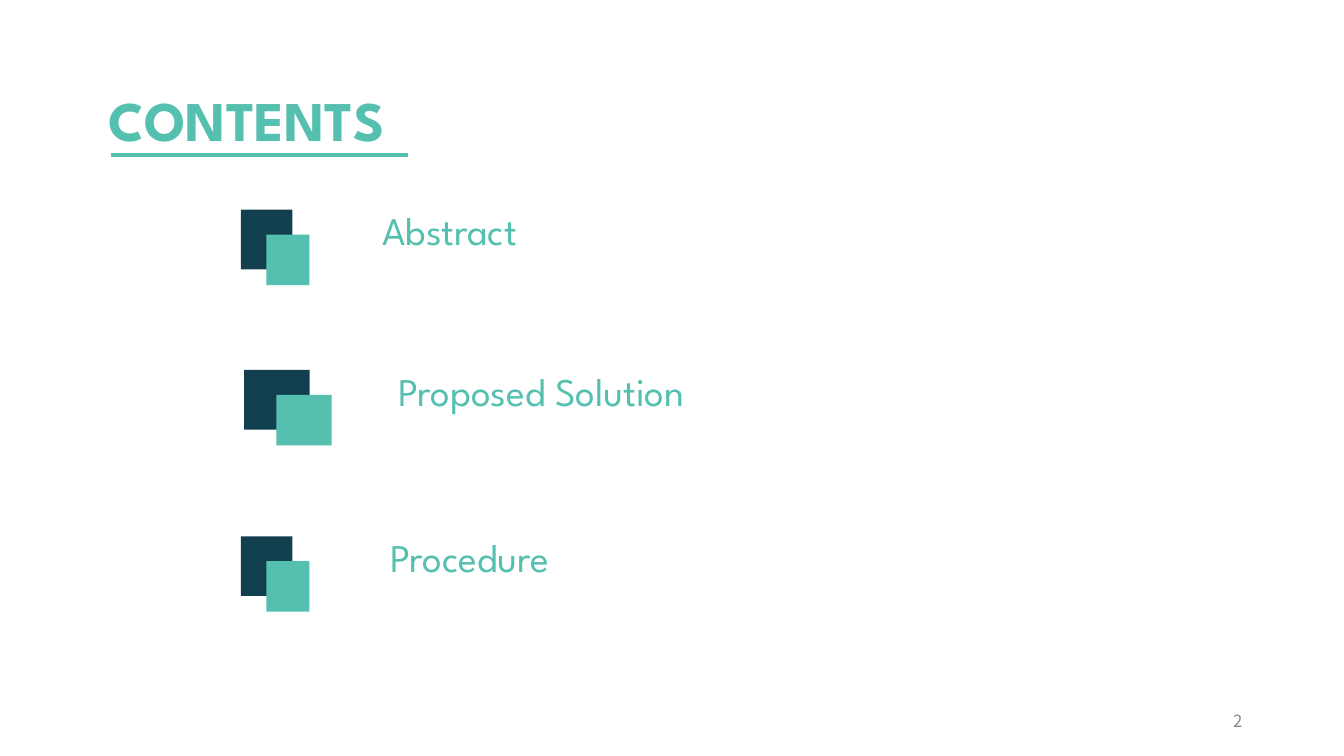
from dataclasses import dataclass

from lxml.etree import SubElement
from pptx import Presentation
from pptx.dml.color import RGBColor
from pptx.enum.shapes import MSO_CONNECTOR, MSO_SHAPE
from pptx.enum.text import MSO_ANCHOR, PP_ALIGN
from pptx.oxml.ns import qn
from pptx.util import Inches, Pt


@dataclass(frozen=True)
class Theme:
    teal: RGBColor = RGBColor(0x55, 0xC0, 0xAF)
    navy: RGBColor = RGBColor(0x11, 0x3F, 0x4E)
    gray: RGBColor = RGBColor(0x88, 0x88, 0x88)
    font: str = "League Spartan"
    number_font: str = "Noto Sans CJK SC"
    title_size: int = 40
    item_size: int = 28
    number_size: int = 12
    rule_width: int = 3


THEME = Theme()
ICON_HEIGHT = 0.75
LABEL_HEIGHT = 0.68
LABEL_RISE = 0.08  # how far a label starts above its icon

# label, icon left, icon width, label left, label width, icon top
ITEMS = [
    ("Abstract", 2.39, 0.68, 2.98, 2.96, 2.08),
    ("Proposed Solution", 2.42, 0.87, 3.45, 3.84, 3.67),
    ("Procedure", 2.39, 0.68, 3.2, 2.92, 5.32),
]


def inches(*lengths):
    return [Inches(length) for length in lengths]


def add_text(shapes, box, text, size, color=THEME.teal, font=THEME.font,
             bold=False, align=PP_ALIGN.CENTER, anchor=MSO_ANCHOR.TOP):
    frame = shapes.add_textbox(*inches(*box)).text_frame
    frame.word_wrap = True
    frame.vertical_anchor = anchor
    frame.text = text
    para = frame.paragraphs[0]
    para.alignment = align
    span = para.runs[0].font
    span.name, span.size, span.bold = font, Pt(size), bold
    span.color.rgb = color


def add_icon(shapes, box):
    """Two overlapping blocks, placed as shares of the icon's box."""
    left, top, width, height = box
    blocks = [(0, 0, 0.75, 0.79, THEME.navy), (0.37, 0.33, 0.63, 0.67, THEME.teal)]
    for x, y, w, h, color in blocks:
        block = shapes.add_shape(MSO_SHAPE.RECTANGLE, *inches(
            left + x * width, top + y * height, w * width, h * height))
        block.shadow.inherit = False
        block.fill.solid()
        block.fill.fore_color.rgb = color
        block.line.fill.background()


def add_item(slide, label, icon_left, icon_width, label_left, label_width, top):
    shapes = slide.shapes.add_group_shape().shapes
    add_text(shapes, (label_left, top - LABEL_RISE, label_width, LABEL_HEIGHT),
             label, THEME.item_size)
    add_icon(shapes, (icon_left, top, icon_width, ICON_HEIGHT))


def add_title(slide, box, text):
    """Heading with a rule under it, shifted slightly to the right."""
    left, top, width, height = box
    add_text(slide.shapes, box, text, THEME.title_size, bold=True)
    start, rule_top = left + 0.15, top + height - 0.03
    rule = slide.shapes.add_connector(MSO_CONNECTOR.STRAIGHT, *inches(
        start, rule_top, start + 2.95, rule_top))
    rule.line.color.rgb = THEME.teal
    rule.line.width = Pt(THEME.rule_width)
    SubElement(rule._element.spPr, qn("a:effectLst"))


def add_page_number(slide, box, number):
    add_text(slide.shapes, box, str(number), THEME.number_size, THEME.gray,
             THEME.number_font, align=PP_ALIGN.RIGHT, anchor=MSO_ANCHOR.MIDDLE)


def main():
    deck = Presentation()
    deck.slide_width, deck.slide_height = inches(13.33, 7.5)
    slide = deck.slides.add_slide(deck.slide_layouts[6])
    add_title(slide, (0.95, 0.8, 2.99, 0.77), "CONTENTS")
    for item in ITEMS:
        add_item(slide, *item)
    add_page_number(slide, (9.42, 6.95, 3, 0.4), 2)
    deck.save("out.pptx")


if __name__ == "__main__":
    main()
